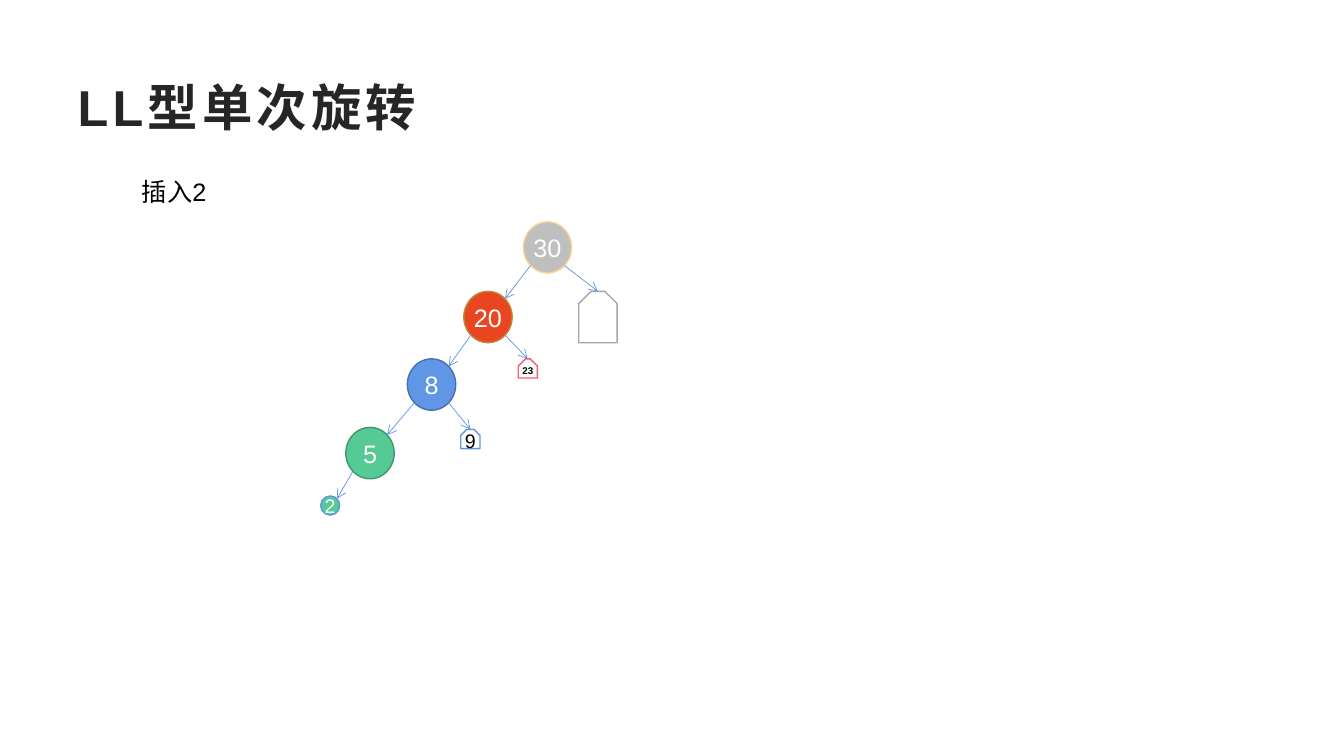
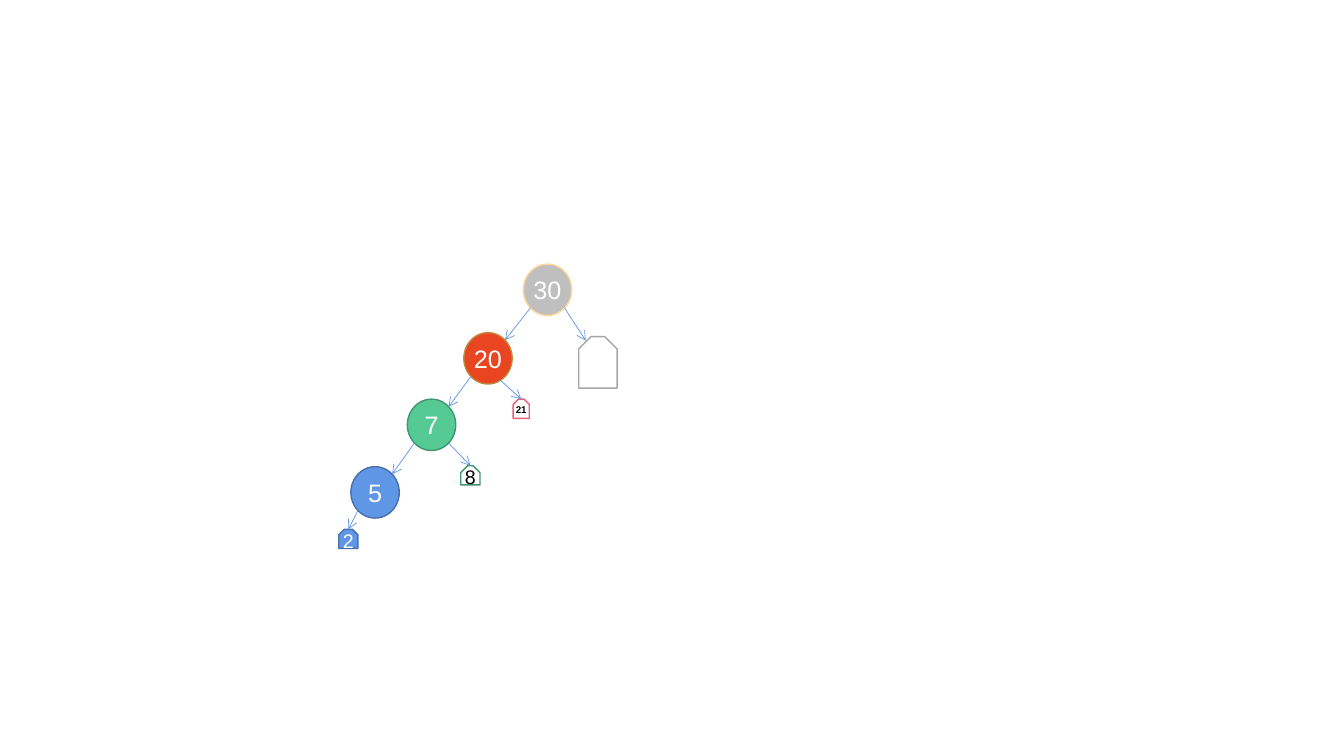
from dataclasses import dataclass

from lxml import etree
from pptx import Presentation
from pptx import util as u
from pptx.dml.color import RGBColor
from pptx.enum import shapes, text
from pptx.oxml.ns import qn

EMU_PER_PX = 9144  # 100 px to the inch
TITLE_ONLY, BLANK = 5, 6
DIAGONAL = 0.5 ** 0.5
NODE_WIDTH, NODE_HEIGHT, LEAF = 48, 51, 19


@dataclass(frozen=True)
class Theme:
    font: str = "Arial"
    title_color: str = "262626"
    black: str = "000000"
    white: str = "FFFFFF"
    edge: str = "6096E6"
    # fill and outline of each kind of node
    gray: tuple = ("BFBFBF", "FFD699")
    red: tuple = ("E94520", "BD8A3F")
    blue: tuple = ("6096E6", "476FAA")
    green: tuple = ("56CA95", "40956E")
    new_leaf: tuple = ("56CA95", "6096E6")
    # fill and outline of each kind of subtree
    gray_open: tuple = ("FFFFFF", "A6A6A6")
    red_open: tuple = ("FFFFFF", "EC5F74")
    blue_open: tuple = ("FFFFFF", "6096E6")
    green_open: tuple = ("FFFFFF", "40956E")
    title_size: int = 36
    body_size: int = 18
    leaf_size: int = 14
    tiny_size: int = 7
    outline: float = 1
    edge_width: float = 0.5
    title_spacing: int = 300


THEME = Theme()


def px(*lengths):
    return [u.Emu(length * EMU_PER_PX) for length in lengths]


def set_all(target, values):
    for name, value in values.items():
        setattr(target, name, value)


class TreeDeck:
    def __init__(self, theme, width, height):
        self.theme = theme
        self.presentation = Presentation()
        size = px(width, height)
        set_all(self.presentation, {"slide_width": size[0], "slide_height": size[1]})
        self.slide = None

    def add_slide(self, layout):
        self.slide = self.presentation.slides.add_slide(
            self.presentation.slide_layouts[layout])

    def add_words(self, shape, words, size, color, bold=False, align=text.PP_ALIGN.LEFT):
        paragraph = shape.text_frame.paragraphs[0]
        paragraph.alignment = align
        run = paragraph.add_run()
        run.text = words
        set_all(run.font, {"name": self.theme.font, "size": u.Pt(size), "bold": bold})
        run.font.color.rgb = RGBColor.from_string(color)
        return run

    def title(self, words, left, top, width, height):
        shape = self.slide.shapes.title
        set_all(shape, dict(zip(("left", "top", "width", "height"),
                                px(left, top, width, height))))
        set_all(shape.text_frame, {"vertical_anchor": text.MSO_ANCHOR.MIDDLE,
                                   "auto_size": text.MSO_AUTO_SIZE.NONE,
                                   "word_wrap": True})
        run = self.add_words(shape, words, self.theme.title_size,
                             self.theme.title_color, True)
        run._r.get_or_add_rPr().set("spc", str(self.theme.title_spacing))

    def caption(self, words, left, top, width, height):
        shape = self.slide.shapes.add_textbox(*px(left, top, width, height))
        set_all(shape.text_frame, {"word_wrap": True,
                                   "auto_size": text.MSO_AUTO_SIZE.SHAPE_TO_FIT_TEXT})
        self.add_words(shape, words, self.theme.body_size, self.theme.black)

    def labelled(self, kind, box, style, words, size, color, bold=False):
        shape = self.slide.shapes.add_shape(kind, *px(*box))
        fill, line = style
        shape.shadow.inherit = False
        shape.fill.solid()
        shape.fill.fore_color.rgb = RGBColor.from_string(fill)
        shape.line.color.rgb = RGBColor.from_string(line)
        shape.line.width = u.Pt(self.theme.outline)
        if words:
            margins = dict.fromkeys(
                ("margin_left", "margin_top", "margin_right", "margin_bottom"), 0)
            set_all(shape.text_frame, {**margins, "word_wrap": False,
                                       "vertical_anchor": text.MSO_ANCHOR.MIDDLE})
            self.add_words(shape, words, size, color, bold, text.PP_ALIGN.CENTER)
        return shape

    def node(self, words, left, top, style):
        return self.labelled(shapes.MSO_SHAPE.OVAL, (left, top, NODE_WIDTH, NODE_HEIGHT),
                             style, words, self.theme.body_size, self.theme.white)

    def leaf(self, words, left, top, style):
        return self.labelled(shapes.MSO_SHAPE.OVAL, (left, top, LEAF, LEAF),
                             style, words, self.theme.leaf_size, self.theme.white)

    def subtree(self, words, left, top, style, snip, width=LEAF, height=LEAF):
        """Draw a subtree as a tag with two cut corners; long labels are tiny."""
        long_label = len(words) > 1
        size = self.theme.tiny_size if long_label else self.theme.leaf_size
        color = self.theme.black if style[0] == self.theme.white else self.theme.white
        shape = self.labelled(shapes.MSO_SHAPE.SNIP_2_SAME_RECTANGLE,
                              (left, top, width, height), style, words, size, color,
                              long_label)
        shape.adjustments[0] = snip
        return shape

    def arrow(self, start, end):
        connector = self.slide.shapes.add_connector(
            shapes.MSO_CONNECTOR.STRAIGHT, *start, *end)
        connector.line.color.rgb = RGBColor.from_string(self.theme.edge)
        connector.line.width = u.Pt(self.theme.edge_width)
        properties = connector._element.spPr
        etree.SubElement(properties.find(qn("a:ln")), qn("a:tailEnd"), type="arrow")
        etree.SubElement(properties, qn("a:effectLst"))

    def edge(self, parent, child, start=None, end=None):
        """Run from the parent's lower diagonal to the child; px points override."""
        side = 1 if child.left + child.width / 2 > parent.left + parent.width / 2 else -1
        start = px(*start) if start else rim(parent, side, 1)
        if end:
            end = px(*end)
        elif child.auto_shape_type == shapes.MSO_SHAPE.OVAL:
            end = rim(child, -side, -1)
        else:
            end = child.left + child.width // 2, child.top
        self.arrow(start, end)


def rim(oval, across, down):
    """Find the point of an oval on the diagonal given by two signs."""
    return (round(oval.left + oval.width / 2 * (1 + across * DIAGONAL)),
            round(oval.top + oval.height / 2 * (1 + down * DIAGONAL)))


def insertion_slide(deck):
    theme = deck.theme
    deck.add_slide(TITLE_ONLY)
    deck.title("LL型单次旋转", 67, 67, 1200, 77)
    deck.caption("插入2", 131, 170, 114, 40)
    root = deck.node("30", 519, 220, theme.gray)
    pivot = deck.node("20", 460, 289, theme.red)
    middle = deck.node("8", 404, 356, theme.blue)
    lowest = deck.node("5", 343, 424, theme.green)
    inserted = deck.leaf("2", 318, 492, theme.new_leaf)
    root_right = deck.subtree("", 574, 289, theme.gray_open, 0.32, 38, 51)
    pivot_right = deck.subtree("23", 514, 356, theme.red_open, 0.38)
    middle_right = deck.subtree("9", 457, 426, theme.blue_open, 0.31)
    for parent, child in ((root, pivot), (root, root_right), (pivot, middle),
                          (pivot, pivot_right), (middle, lowest),
                          (middle, middle_right), (lowest, inserted)):
        deck.edge(parent, child)


def subtree_slide(deck):
    theme = deck.theme
    deck.add_slide(BLANK)
    root = deck.node("30", 519, 262, theme.gray)
    pivot = deck.node("20", 460, 330, theme.red)
    middle = deck.node("7", 404, 396, theme.green)
    lowest = deck.node("5", 348, 463, theme.blue)
    lowest_left = deck.subtree("2", 336, 525, theme.blue, 0.29)
    root_right = deck.subtree("", 574, 334, theme.gray_open, 0.32, 38, 51)
    pivot_right = deck.subtree("21", 509, 396, theme.red_open, 0.33, 16)
    middle_right = deck.subtree("8", 457, 462, theme.green_open, 0.36)
    for parent, child in ((root, pivot), (pivot, middle), (middle, lowest),
                          (middle, middle_right), (lowest, lowest_left)):
        deck.edge(parent, child)
    deck.edge(root, root_right, end=(581, 338))
    deck.edge(pivot, pivot_right, start=(496, 377))


def main():
    deck = TreeDeck(THEME, 1333, 750)
    insertion_slide(deck)
    subtree_slide(deck)
    deck.presentation.save("out.pptx")


if __name__ == "__main__":
    main()
